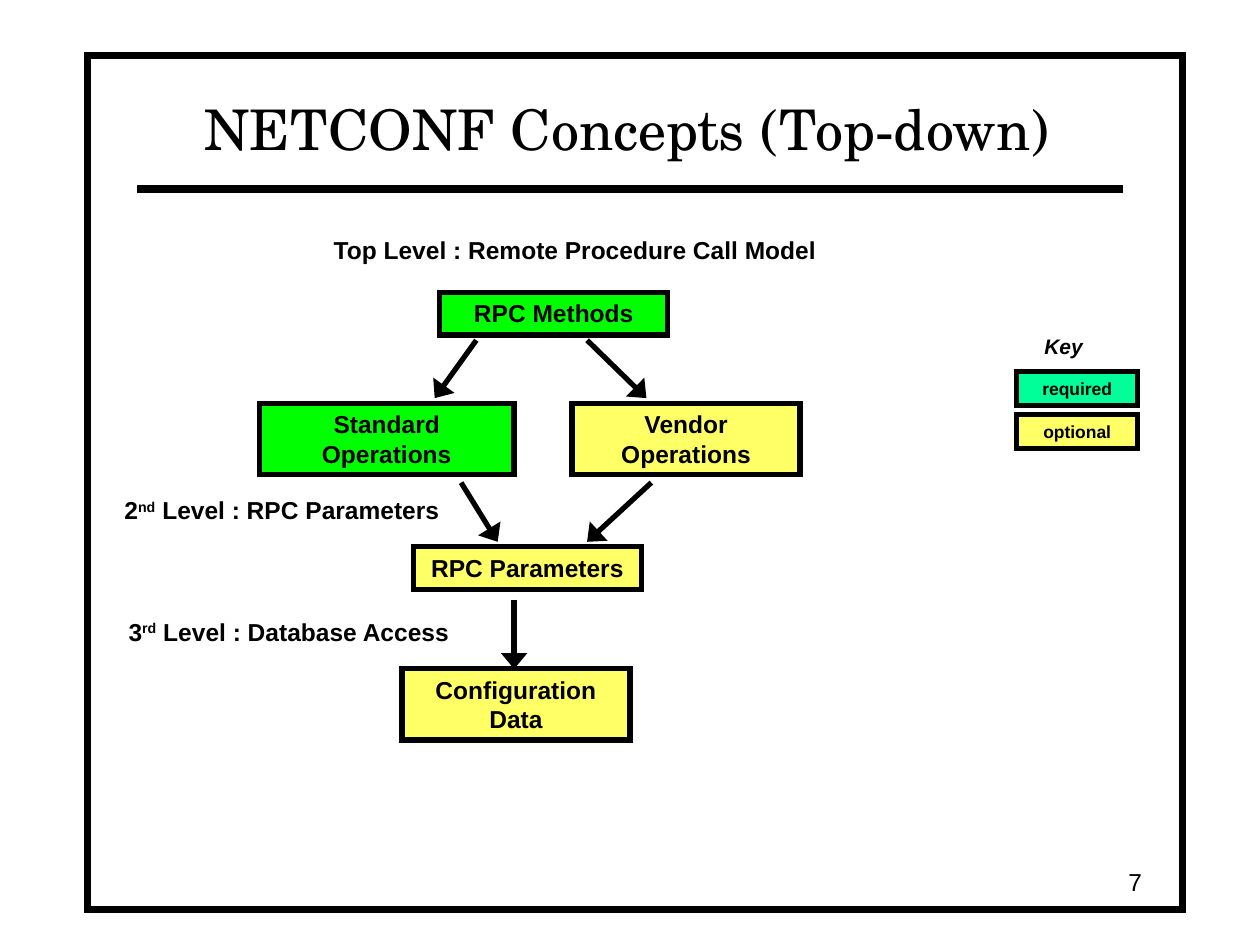
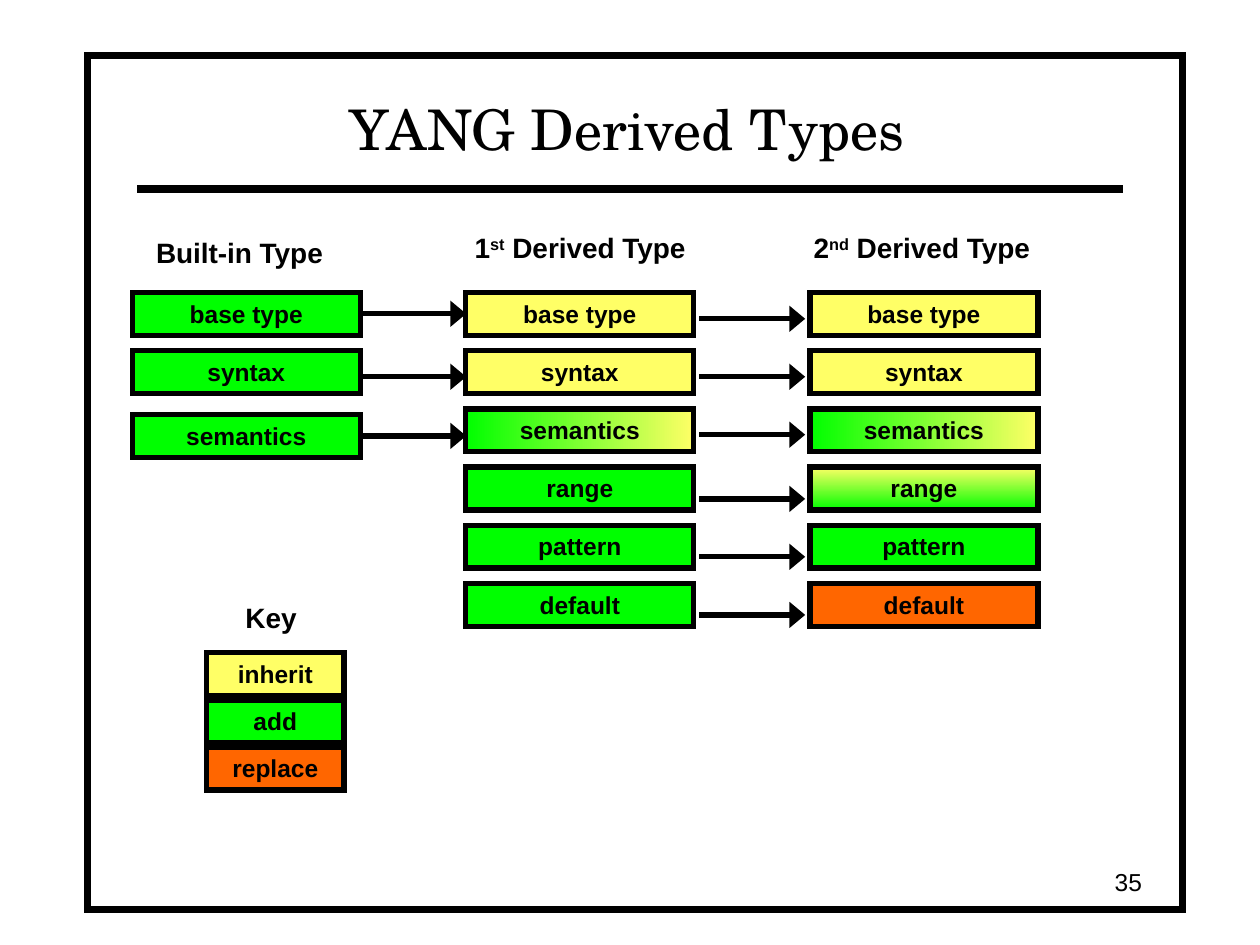
import pptx
import pptx.util
import pptx.dml.color
import pptx.enum.dml
import pptx.enum.shapes
import pptx.enum.text
import pptx.oxml
import pptx.oxml.ns
import lxml.etree

Pt = pptx.util.Pt
RGBColor = pptx.dml.color.RGBColor
PP_ALIGN = pptx.enum.text.PP_ALIGN
MSO_ANCHOR = pptx.enum.text.MSO_ANCHOR
MSO_AUTO_SIZE = pptx.enum.text.MSO_AUTO_SIZE
qn = pptx.oxml.ns.qn

BLACK = RGBColor(0x00, 0x00, 0x00)
WHITE = RGBColor(0xFF, 0xFF, 0xFF)
GREEN = RGBColor(0x00, 0xFF, 0x00)
MINT = RGBColor(0x00, 0xFF, 0x99)
YELLOW = RGBColor(0xFF, 0xFF, 0x66)
ORANGE = RGBColor(0xFF, 0x66, 0x00)
GREEN_TO_YELLOW = (GREEN, YELLOW, 0)
YELLOW_DOWN_TO_GREEN = (YELLOW, GREEN, 270)

BOX_W, BOX_H, TALL_H = 130.3, 24.5, 41


class Deck:
    title_font = "TeX Gyre Schola"
    body_font = "Arial"

    def __init__(self):
        self.prs = pptx.Presentation()
        self.prs.slide_width, self.prs.slide_height = Pt(720), Pt(540)
        self.layout = self.prs.slide_layouts[5]
        self.s = None

    def slide(self, title, number):
        first = self.s is None
        self.s = self.prs.slides.add_slide(self.layout)
        if first:
            self.frame()
        sp = self.s.shapes.title
        sp.left, sp.top, sp.width, sp.height = Pt(77.8), Pt(41.8), Pt(561), Pt(54)
        sp.text_frame.text = title
        self.style(sp.text_frame, 32, bold=False, align=PP_ALIGN.CENTER,
                   anchor=MSO_ANCHOR.BOTTOM, font=self.title_font)
        sp = self.s.shapes.add_textbox(Pt(509.8), Pt(491.8), Pt(149.8), Pt(23.8))
        sp.text_frame.text = str(number)
        self.style(sp.text_frame, 14, bold=False, align=PP_ALIGN.RIGHT,
                   anchor=MSO_ANCHOR.MIDDLE)

    def frame(self):
        border = self.rect(50, 32, 625.7, 488, WHITE, 4)
        rule = self.line(78.3, 108, 642, 108, 4.5)
        for i, sp in enumerate((border, rule)):
            el = sp._element
            el.xpath(".//p:cNvPr")[0].set("id", str(100 + i))
            self.layout.shapes._spTree.insert(2 + i, el)

    def style(self, tf, size, bold=True, italic=False, align=PP_ALIGN.LEFT,
              anchor=MSO_ANCHOR.TOP, font=None, wrap=True):
        tf.word_wrap = wrap
        tf.vertical_anchor = anchor
        tf.margin_left = tf.margin_right = Pt(7.2)
        tf.margin_top = tf.margin_bottom = Pt(3.6)
        for p in tf.paragraphs:
            p.alignment = align
            for r in p.runs:
                r.font.name = font or self.body_font
                r.font.size = Pt(size)
                r.font.bold = bold
                r.font.italic = italic
                r.font.color.rgb = BLACK

    def rect(self, x, y, w, h, fill, weight=3):
        sp = self.s.shapes.add_shape(pptx.enum.shapes.MSO_SHAPE.RECTANGLE,
                                     Pt(x), Pt(y), Pt(w), Pt(h))
        sp.shadow.inherit = False
        if isinstance(fill, RGBColor):
            sp.fill.solid()
            sp.fill.fore_color.rgb = fill
        else:
            *colors, angle = fill
            sp.fill.gradient()
            sp.fill.gradient_angle = angle
            for stop, color in zip(sp.fill.gradient_stops, colors):
                stop.color.rgb = color
        sp.line.color.rgb = BLACK
        sp.line.width = Pt(weight)
        ln = sp.line._get_or_add_ln()
        lxml.etree.SubElement(ln, qn("a:miter")).set("lim", "800000")
        return sp

    def box(self, text, x, y, fill, w=BOX_W, h=BOX_H, size=14):
        tf = self.rect(x, y, w, h, fill).text_frame
        tf.text = text
        self.style(tf, size, align=PP_ALIGN.CENTER)

    def label(self, text, x, y, w, h, size=14, italic=False):
        tf = self.s.shapes.add_textbox(Pt(x), Pt(y), Pt(w), Pt(h)).text_frame
        p = tf.paragraphs[0]
        for i, part in enumerate(text.split("^")):
            r = p.add_run()
            r.text = part
            if i % 2:
                r._r.get_or_add_rPr().set("baseline", "30000")
        self.style(tf, size, italic=italic, wrap=False)
        tf.auto_size = MSO_AUTO_SIZE.SHAPE_TO_FIT_TEXT

    def line(self, x1, y1, x2, y2, weight=3):
        c = self.s.shapes.add_connector(pptx.enum.shapes.MSO_CONNECTOR.STRAIGHT,
                                        Pt(x1), Pt(y1), Pt(x2), Pt(y2))
        c.line.color.rgb = BLACK
        c.line.width = Pt(weight)
        lxml.etree.SubElement(c._element.spPr, qn("a:effectLst"))
        return c

    def arrow(self, x1, y1, x2, y2):
        ln = self.line(x1, y1, x2, y2).line._get_or_add_ln()
        tail = lxml.etree.SubElement(ln, qn("a:tailEnd"))
        tail.set("type", "triangle")
        tail.set("w", "lg")
        tail.set("len", "med")


def concepts(d):
    d.slide("NETCONF Concepts (Top-down)", 7)
    d.box("RPC Methods", 251.3, 167, GREEN)
    d.box("Standard Operations", 148.3, 230.4, GREEN, w=145.4, h=TALL_H)
    d.box("Vendor Operations", 326.9, 230.4, YELLOW, h=TALL_H)
    d.box("RPC Parameters", 236.2, 312.5, YELLOW)
    d.box("Configuration\vData", 229.7, 381.9, YELLOW, h=TALL_H)
    d.label("Top Level : Remote Procedure Call Model", 183.6, 131, 292, 24.5)
    d.label("2^nd^ Level : RPC Parameters", 64, 279.4, 196, 24.5)
    d.label("3^rd^ Level : Database Access", 66.4, 348.8, 200, 24.5)
    for ends in ((272.2, 194.4, 248.4, 227.5), (335.5, 194.4, 369.4, 227.5),
                 (263.5, 275.8, 284.4, 309.6), (372.2, 275.8, 335.5, 309.6),
                 (293.8, 342.7, 293.8, 382.3)):
        d.arrow(*ends)
    d.label("Key", 589.7, 187.2, 42, 21.6, size=12, italic=True)
    for i, (text, fill) in enumerate((("required", MINT), ("optional", YELLOW))):
        d.box(text, 581, 212.4 + 24.5 * i, fill, w=69.1, h=19.4, size=10)


def derived_types(d):
    d.slide("YANG Derived Types", 35)
    names = ("base type", "syntax", "semantics", "range", "pattern", "default")
    rows = [167.2 + 33.25 * i for i in range(len(names))]
    columns = (
        (75.6, rows[:2] + [236.9], (GREEN,) * 3),
        (266.2, rows, (YELLOW, YELLOW, GREEN_TO_YELLOW, GREEN, GREEN, GREEN)),
        (462.8, rows, (YELLOW, YELLOW, GREEN_TO_YELLOW, YELLOW_DOWN_TO_GREEN,
                       GREEN, ORANGE)),
    )
    for x, tops, fills in columns:
        for name, y, fill in zip(names, tops, fills):
            d.box(name, x, y, fill)
    for y in (179.3, 215.3, 249.1):
        d.arrow(206, y, 266.4, y)
    for y in (182.2, 215.3, 248.4, 285.1, 318.2, 351.4):
        d.arrow(399.6, y, 460.1, y)
    d.label("Built-in Type", 82.1, 131, 113, 26.6, size=16)
    d.label("1^st^ Derived Type", 264.2, 128.2, 138, 26.6, size=16)
    d.label("2^nd^ Derived Type", 457.9, 128.2, 141, 26.6, size=16)
    d.label("Key", 133.2, 339.8, 50, 26.6, size=16)
    key = (("inherit", YELLOW), ("add", GREEN), ("replace", ORANGE))
    for i, (text, fill) in enumerate(key):
        d.box(text, 118.1, 373 + 27 * i, fill, w=78.5)


deck = Deck()
concepts(deck)
derived_types(deck)
deck.prs.save("out.pptx")
